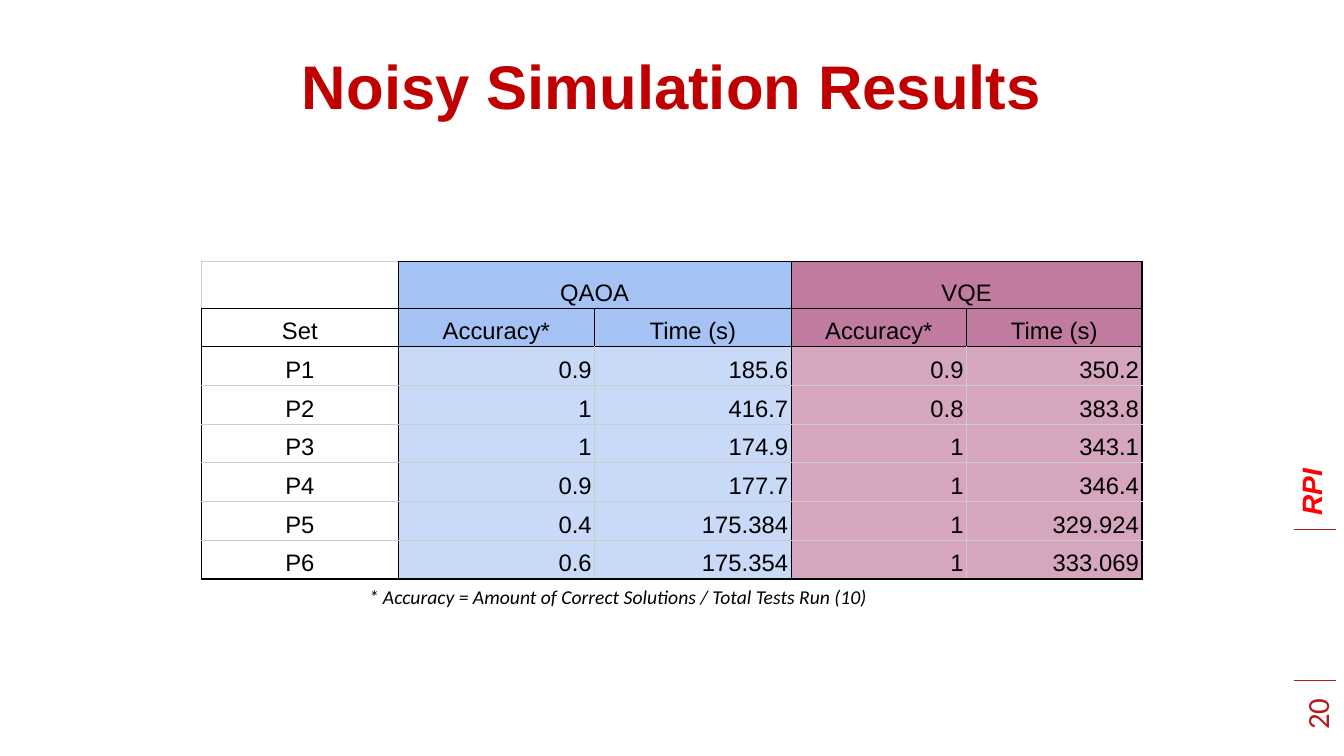
from pptx import Presentation
from pptx.dml.color import RGBColor
from pptx.enum.shapes import MSO_CONNECTOR
from pptx.enum.text import MSO_ANCHOR, PP_ALIGN
from pptx.oxml.ns import qn
from pptx.util import Inches, Pt
from lxml import etree

STRAIGHT = MSO_CONNECTOR.STRAIGHT
TOP, MIDDLE, BOTTOM = MSO_ANCHOR.TOP, MSO_ANCHOR.MIDDLE, MSO_ANCHOR.BOTTOM
LEFT, CENTER, RIGHT = PP_ALIGN.LEFT, PP_ALIGN.CENTER, PP_ALIGN.RIGHT

BLACK, GREY, MAROON = "000000", "CCCCCC", "B31B1B"
HEADER_FILLS = [None, "A4C2F4", "A4C2F4", "C27BA0", "C27BA0"]
BODY_FILLS = [None, "C9DAF8", "C9DAF8", "D5A6BD", "D5A6BD"]
GROUP_EDGES = {0, 1, 3, 5}
HEADER_ROWS = 2
COLUMN_WIDTHS = [23.4, 23.4, 23.4, 20.88, 20.88]
RESULTS = [
    ["", "QAOA", "", "VQE", ""],
    ["Set", "Accuracy*", "Time (s)", "Accuracy*", "Time (s)"],
    ["P1", "0.9", "185.6", "0.9", "350.2"],
    ["P2", "1", "416.7", "0.8", "383.8"],
    ["P3", "1", "174.9", "1", "343.1"],
    ["P4", "0.9", "177.7", "1", "346.4"],
    ["P5", "0.4", "175.384", "1", "329.924"],
    ["P6", "0.6", "175.354", "1", "333.069"],
]


def color(hex_value):
    return RGBColor.from_string(hex_value)


def assign(target, values):
    for name, value in values.items():
        setattr(target, name, value)


def margins(left, top, right, bottom):
    return {
        "margin_left": Inches(left),
        "margin_top": Inches(top),
        "margin_right": Inches(right),
        "margin_bottom": Inches(bottom),
    }


class SlideBuilder:
    columns, rows = 160, 90
    styles = {
        "title": {"name": "Arial", "size": Pt(44), "bold": True, "color": "C00000"},
        "cell": {"name": "Arial", "size": Pt(17), "color": BLACK},
        "note": {"name": "Calibri", "size": Pt(14), "italic": True, "color": BLACK},
        "label": {"name": "Arial", "size": Pt(20), "bold": True, "italic": True, "color": "FF0000"},
        "number": {"name": "Calibri", "size": Pt(22), "color": MAROON},
    }

    def __init__(self, deck):
        self.unit_x = deck.slide_width / self.columns
        self.unit_y = deck.slide_height / self.rows
        self.page = deck.slides.add_slide(deck.slide_layouts[5])

    def across(self, count):
        return round(count * self.unit_x)

    def down(self, count):
        return round(count * self.unit_y)

    def area(self, left, top, width, height):
        return self.across(left), self.down(top), self.across(width), self.down(height)

    def paragraph(self, frame, text, style, align, spacing):
        para = frame.paragraphs[0]
        assign(para, {"alignment": align, "line_spacing": spacing})
        span = para.add_run()
        span.text = text
        values = dict(self.styles[style])
        span.font.color.rgb = color(values.pop("color"))
        assign(span.font, values)

    def title(self, text, area):
        box = self.page.shapes.title
        assign(box, dict(zip(("left", "top", "width", "height"), self.area(*area))))
        assign(box.text_frame, {"vertical_anchor": MIDDLE, "word_wrap": True})
        self.paragraph(box.text_frame, text, "title", CENTER, 0.9)

    def text(self, text, area, style, insets, align=LEFT, anchor=TOP, spacing=1.0, rotation=0):
        box = self.page.shapes.add_textbox(*self.area(*area))
        box.rotation = rotation
        assign(box.text_frame, {"word_wrap": True, "vertical_anchor": anchor, **margins(*insets)})
        self.paragraph(box.text_frame, text, style, align, spacing)

    def rule(self, left, right, row):
        start, end, height = self.across(left), self.across(right), self.down(row)
        line = self.page.shapes.add_connector(STRAIGHT, start, height, end, height)
        line.line.color.rgb = color(MAROON)
        line.line.width = Pt(0.75)
        etree.SubElement(line._element.spPr, qn("a:effectLst"))

    def borders(self, cell, sides):
        properties = cell._tc.get_or_add_tcPr()
        for side, hex_value in zip("LRTB", sides):
            line = etree.SubElement(properties, qn(f"a:ln{side}"), w=str(Pt(0.94)))
            fill = etree.SubElement(line, qn("a:solidFill"))
            etree.SubElement(fill, qn("a:srgbClr"), val=hex_value)

    def cell_borders(self, row, column):
        if row == column == 0:
            return GREY, BLACK, GREY, BLACK
        header = row < HEADER_ROWS
        black_sides = (
            header or column in GROUP_EDGES,
            header or column + 1 in GROUP_EDGES,
            row <= HEADER_ROWS,
            header or row == len(RESULTS) - 1,
        )
        return [BLACK if black else GREY for black in black_sides]

    def table(self, left, top, first_height, row_height):
        heights = [first_height] + [row_height] * (len(RESULTS) - 1)
        area = self.area(left, top, sum(COLUMN_WIDTHS), sum(heights))
        table = self.page.shapes.add_table(len(heights), len(COLUMN_WIDTHS), *area).table
        assign(table, {"first_row": False, "horz_banding": False})
        for column, width in zip(table.columns, COLUMN_WIDTHS):
            column.width = self.across(width)
        for row, height in zip(table.rows, heights):
            row.height = self.down(height)
        for column in (1, 3):
            table.cell(0, column).merge(table.cell(0, column + 1))
        for row, values in enumerate(RESULTS):
            fills = HEADER_FILLS if row < HEADER_ROWS else BODY_FILLS
            for column, value in enumerate(values):
                cell = table.cell(row, column)
                assign(cell, {"vertical_anchor": BOTTOM, **margins(0.03, 0.02, 0.03, 0.02)})
                self.borders(cell, self.cell_borders(row, column))
                if fills[column]:
                    cell.fill.solid()
                    cell.fill.fore_color.rgb = color(fills[column])
                else:
                    cell.fill.background()
                if value:
                    align = CENTER if row < HEADER_ROWS or column == 0 else RIGHT
                    self.paragraph(cell.text_frame, value, "cell", align, 1.15)


def main():
    deck = Presentation()
    deck.slide_width, deck.slide_height = Inches(13.33), Inches(7.5)
    slide = SlideBuilder(deck)
    slide.title("Noisy Simulation Results", (11, 4.08, 138, 13.2))
    slide.table(24, 31.08, 5.6, 4.61)
    slide.text("* Accuracy = Amount of Correct Solutions / Total Tests Run (10)",
               (42.72, 68.4, 74.5, 8), "note", (0.1, 0.1, 0.1, 0.1))
    slide.text("RPI", (150.72, 54.48, 10.8, 5.28), "label", (0.1, 0.05, 0.1, 0.05), rotation=270)
    slide.text("20", (152, 82, 8, 8), "number", (0.12, 0.1, 0.1, 0.1),
               align=RIGHT, anchor=BOTTOM, spacing=0.64, rotation=270)
    for row in (63, 81):
        slide.rule(154, 159, row)
    deck.save("out.pptx")


if __name__ == "__main__":
    main()
